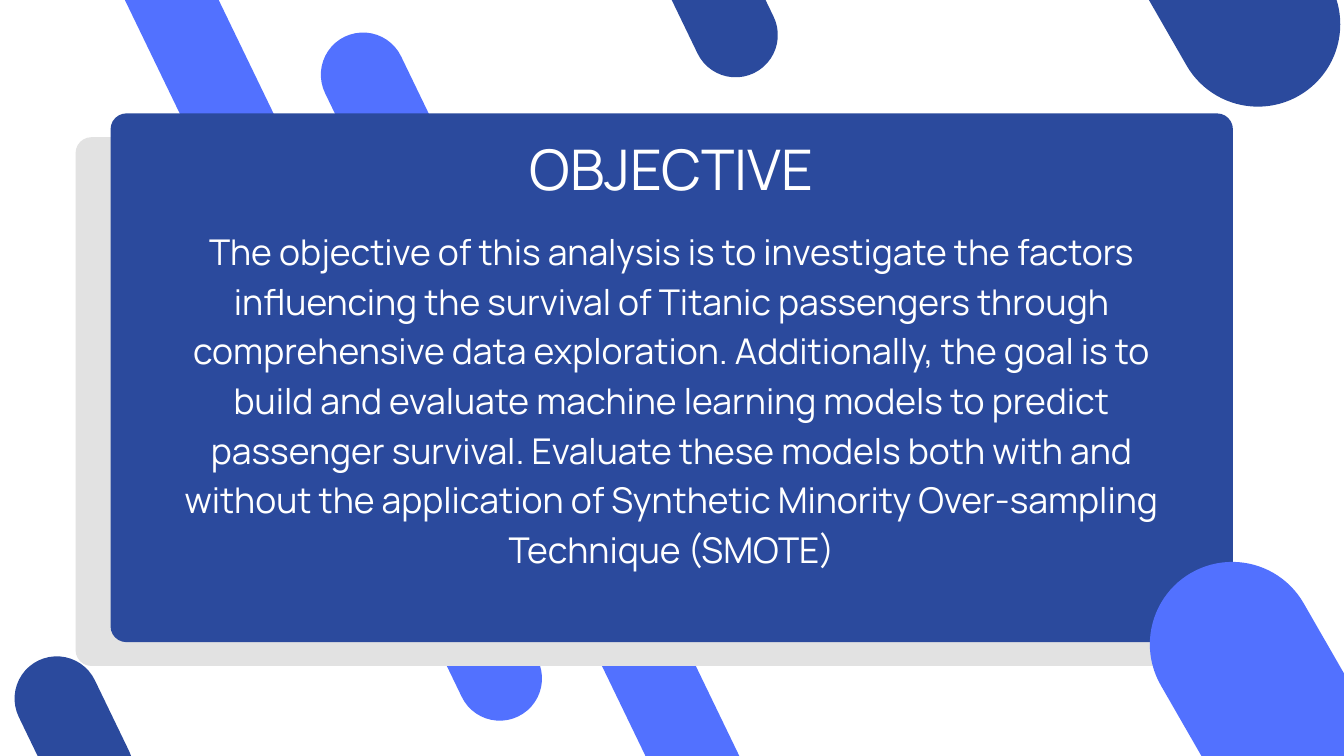
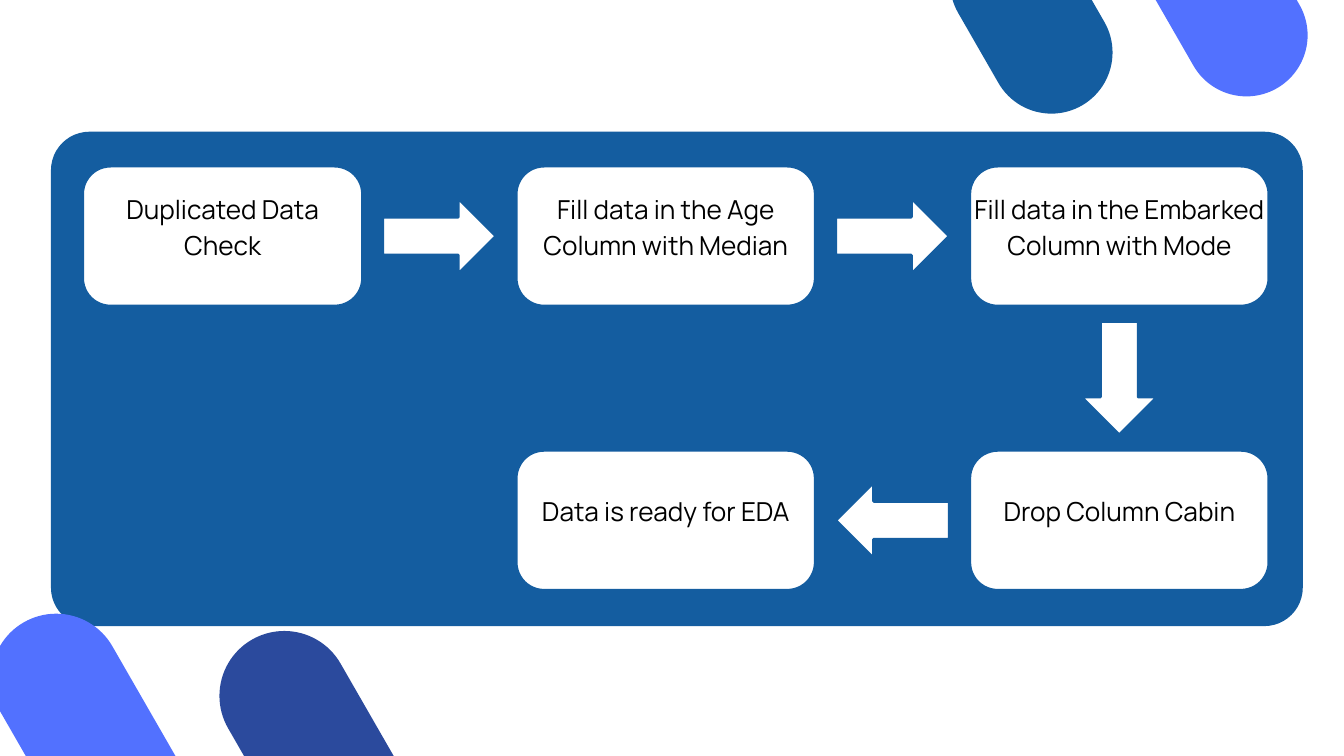
from pptx import Presentation
from pptx.dml.color import RGBColor
from pptx.enum import shapes, text
from pptx.util import Pt

FONT = "Manrope"
WHITE, BLACK, GREY = "FFFFFF", "000000", "E2E2E2"
NAVY, SKY, OCEAN = "2B4A9D", "5271FF", "145DA0"
STEEP, SLANT = -25.8, -29.9  # the two tilts of the pills
KIND = shapes.MSO_SHAPE

# Flow chart grid: columns as (left, width), rows as top edges
COLS = [(88.5, 300), (553, 320.5), (1039, 320.5)]
ROWS = [178, 482.5]
BOX_H = 150
ARROW_L, ARROW_W = 121.5, 81
STEPS = [
    ("Duplicated Data Check", 0, 0),
    ("Fill data in the Age Column with Median", 1, 0),
    ("Fill data in the Embarked Column with Mode", 2, 0),
    ("Drop Column Cabin", 2, 1),
    ("Data is ready for EDA", 1, 1),
]


def color(code):
    return RGBColor.from_string(code)


def place(shape, left, top, width, height):
    shape.left, shape.top = Pt(left), Pt(top)
    shape.width, shape.height = Pt(width), Pt(height)


def draw(slide, kind, area, fill, line=None, weight=3):
    shape = slide.shapes.add_shape(kind, *map(Pt, area))
    shape.shadow.inherit = False
    shape.fill.solid()
    shape.fill.fore_color.rgb = color(fill)
    if line:
        shape.line.color.rgb = color(line)
        shape.line.width = Pt(weight)
    else:
        shape.line.fill.background()
    return shape


def card(slide, area, fill, round_by, line=None, weight=3):
    shape = draw(slide, KIND.ROUNDED_RECTANGLE, area, fill, line, weight)
    shape.adjustments[0] = round_by
    return shape


def pill(slide, area, fill, tilt):
    card(slide, area, fill, 0.5).rotation = tilt


def write(shape, words, size, pitch, ink, inset=0, anchor=text.MSO_ANCHOR.TOP):
    frame = shape.text_frame
    frame.word_wrap = True
    frame.auto_size = text.MSO_AUTO_SIZE.NONE
    frame.vertical_anchor = anchor
    frame.margin_left = frame.margin_right = Pt(inset)
    frame.margin_top = frame.margin_bottom = Pt(inset)
    frame.text = words
    para = frame.paragraphs[0]
    para.alignment = text.PP_ALIGN.CENTER
    para.line_spacing = Pt(pitch)
    para.space_before = Pt(0)
    para.font.name, para.font.size = FONT, Pt(size)
    para.font.color.rgb = color(ink)
    return para


def fill_holder(holder, area, words, size, pitch):
    """Move a placeholder in front of the cards and write in it."""
    place(holder, *area)
    holder.element.getparent().append(holder.element)
    return write(holder, words, size, pitch, WHITE)


def step(slide, words, col, row):
    left, width = COLS[col]
    top = ROWS[row]
    card(slide, (left, top, width, BOX_H), WHITE, 0.2, OCEAN)
    # The label sits a little above the middle of its box
    label = slide.shapes.add_textbox(Pt(left), Pt(top - 25.5),
                                     Pt(width), Pt(BOX_H + 25.5))
    write(label, words, 28, 39.2, BLACK, 4, text.MSO_ANCHOR.MIDDLE)


def arrow(slide, start, end):
    """Centre a block arrow in the gap between two neighbouring steps."""
    (_, col, row), (_, to_col, to_row) = start, end
    if col == to_col:
        left, width = COLS[col]
        mid_x = left + width / 2
        mid_y = (ROWS[row] + BOX_H + ROWS[to_row]) / 2
        kind, size = KIND.DOWN_ARROW, (ARROW_W, ARROW_L)
    else:
        left, width = COLS[min(col, to_col)]
        mid_x = (left + width + COLS[max(col, to_col)][0]) / 2
        mid_y = ROWS[row] + BOX_H / 2
        kind = KIND.RIGHT_ARROW if to_col > col else KIND.LEFT_ARROW
        size = (ARROW_L, ARROW_W)
    area = (mid_x - size[0] / 2, mid_y - size[1] / 2, *size)
    draw(slide, kind, area, WHITE, OCEAN)


def goal_slide(deck):
    slide = deck.slides.add_slide(deck.slide_layouts[1])
    # Pills behind the card
    pill(slide, (301, -144.5, 90.5, 960), SKY, STEEP)
    pill(slide, (533, -8.5, 90.5, 960), SKY, STEEP)
    # Card and its offset backing
    card(slide, (81, 147, 1202.5, 566.5), GREY, 0.03)
    card(slide, (118.5, 121.5, 1202.5, 566.5), NAVY, 0.03)
    # Pills in front
    pill(slide, (1352, 570, 176.5, 658), SKY, SLANT)
    pill(slide, (1217.5, -219.5, 176.5, 345), NAVY, SLANT)
    pill(slide, (34, 699, 90.5, 175), NAVY, STEEP)
    pill(slide, (724.5, -88, 90.5, 175), NAVY, STEEP)
    # Title and statement
    title, body = slide.placeholders
    fill_holder(title, (296.5, 132.5, 846, 86.5), "OBJECTIVE", 60, 84)
    para = fill_holder(
        body, (184.5, 239, 1070.5, 368.5),
        "The objective of this analysis is to investigate the factors "
        "influencing the survival of Titanic passengers through "
        "comprehensive data exploration. Additionally, the goal is to "
        "build and evaluate machine learning models to predict passenger "
        "survival. Evaluate these models both with and without the "
        "application of Synthetic Minority Over-sampling Technique (SMOTE)",
        38, 53.2)
    # No bullet and no hanging indent
    props = para._p.get_or_add_pPr()
    props.set("marL", "0")
    props.set("indent", "0")
    bullet = props.makeelement(
        "{http://schemas.openxmlformats.org/drawingml/2006/main}buNone", {})
    props.insert_element_before(bullet, "a:tabLst", "a:defRPr", "a:extLst")


def flow_slide(deck):
    slide = deck.slides.add_slide(deck.slide_layouts[6])
    pill(slide, (1248.5, -108.5, 131, 217.5), SKY, SLANT)
    pill(slide, (364.5, 641.5, 139, 658), NAVY, SLANT)
    # Panel with the steps and arrows
    card(slide, (59.5, 146, 1331.5, 520), OCEAN, 0.07, OCEAN, 9.75)
    for item in STEPS:
        step(slide, *item)
    for start, end in zip(STEPS, STEPS[1:]):
        arrow(slide, start, end)
    # Pills in front
    pill(slide, (1039.5, -90, 131, 217.5), OCEAN, SLANT)
    pill(slide, (120, 623, 139, 658), SKY, SLANT)


def main():
    deck = Presentation()
    deck.slide_width, deck.slide_height = Pt(1440), Pt(810)
    goal_slide(deck)
    flow_slide(deck)
    deck.save("out.pptx")


if __name__ == "__main__":
    main()
